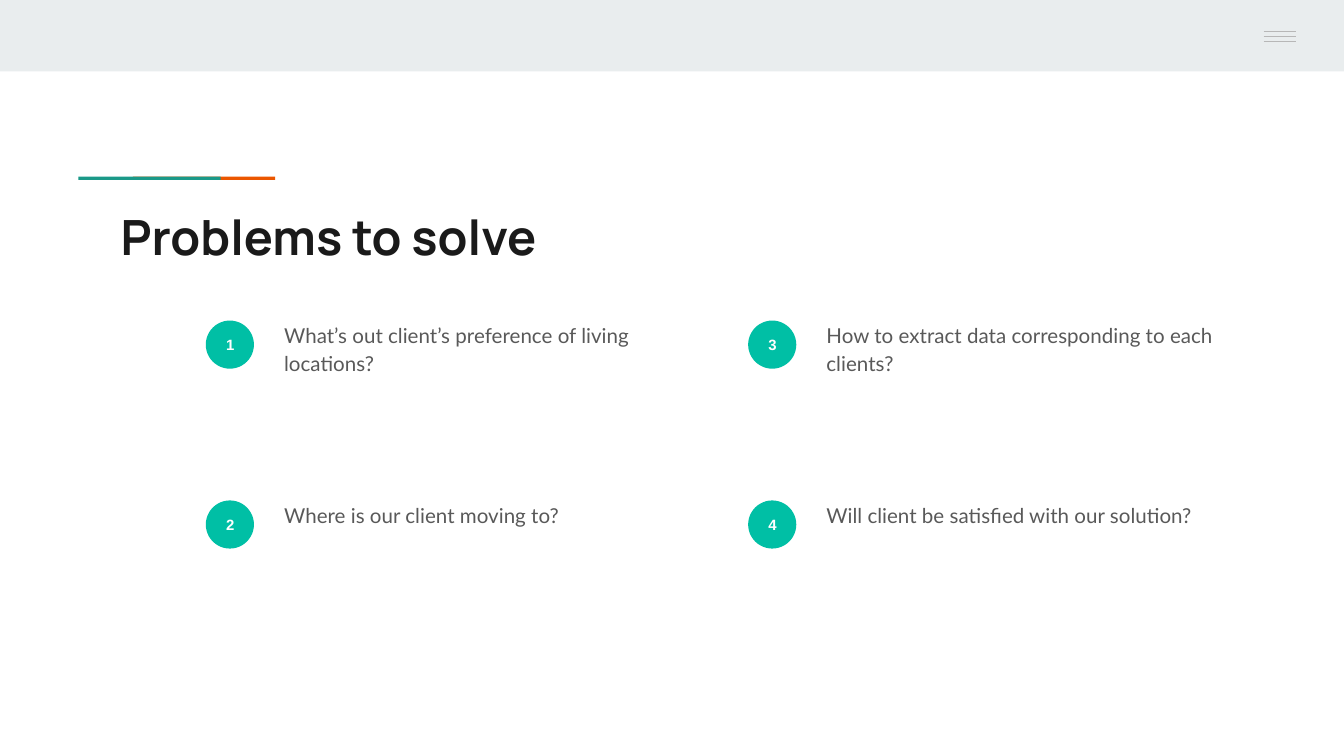
from dataclasses import dataclass
from lxml.etree import SubElement
from pptx import Presentation
from pptx.dml.color import RGBColor
from pptx.enum.shapes import MSO_CONNECTOR, MSO_SHAPE
from pptx.enum.text import MSO_ANCHOR, PP_ALIGN
from pptx.oxml.ns import qn
from pptx.util import Cm, Pt


@dataclass(frozen=True)
class Theme:
    band: str = "E9EDEE"
    rule: str = "B7B7B7"
    green: str = "1A9988"
    orange: str = "EB5600"
    badge: str = "00BFA5"
    white: str = "FFFFFF"
    dark: str = "1A1A1A"
    grey: str = "595959"
    head: int = 26
    body: int = 11
    small: int = 8
    inset: float = 0.25


THEME = Theme()


def add_run(para, text, font, size, color, bold=False):
    run = para.add_run()
    run.text = text
    run.font.name = font
    run.font.size = Pt(size)
    run.font.bold = bold
    run.font.color.rgb = RGBColor.from_string(color)


def set_frame(frame, anchor):
    frame.word_wrap = True
    frame.vertical_anchor = anchor
    pad = Cm(THEME.inset)
    frame.margin_left = frame.margin_right = pad
    frame.margin_top = frame.margin_bottom = pad
    return frame.paragraphs[0]


def add_fill(slide, kind, x, y, w, h, color):
    shape = slide.shapes.add_shape(kind, Cm(x), Cm(y), Cm(w), Cm(h))
    shape.shadow.inherit = False
    shape.fill.solid()
    shape.fill.fore_color.rgb = RGBColor.from_string(color)
    shape.line.fill.background()
    return shape


def add_line(slide, x, y, end):
    line = slide.shapes.add_connector(
        MSO_CONNECTOR.STRAIGHT, Cm(x), Cm(y), Cm(end), Cm(y))
    line.line.color.rgb = RGBColor.from_string(THEME.rule)
    line.line.width = Pt(0.75)
    SubElement(line._element.spPr, qn("a:effectLst"))


def add_text(slide, x, y, w, h):
    box = slide.shapes.add_textbox(Cm(x), Cm(y), Cm(w), Cm(h))
    return set_frame(box.text_frame, MSO_ANCHOR.TOP)


def add_item(slide, num, text, x, y):
    badge = add_fill(slide, MSO_SHAPE.OVAL, x, y, 0.91, 0.91, THEME.badge)
    para = set_frame(badge.text_frame, MSO_ANCHOR.MIDDLE)
    para.alignment = PP_ALIGN.CENTER
    add_run(para, str(num), "Arial", THEME.small, THEME.white, True)

    para = add_text(slide, x + 1.23, y - 0.28, 7.87, 2.92)
    para.line_spacing = 1.15
    para.space_after = Pt(16)
    add_run(para, text, "Lato", THEME.body, THEME.grey)


def main():
    deck = Presentation()
    deck.slide_width, deck.slide_height = Cm(25.4), Cm(14.29)
    slide = deck.slides.add_slide(deck.slide_layouts[6])

    # Top band with menu icon
    add_fill(slide, MSO_SHAPE.RECTANGLE, 0, 0, 25.4, 1.35, THEME.band)
    for i in range(3):
        add_line(slide, 23.88, 0.6 + i * 0.09, 24.49)

    # Accent bars, green over orange
    for x, color in ((2.51, THEME.orange), (1.48, THEME.green)):
        add_fill(slide, MSO_SHAPE.RECTANGLE, x, 3.34, 2.69, 0.06, color)

    # Title
    para = add_text(slide, 2.03, 3.66, 21.36, 1.5)
    add_run(para, "Problems to solve", "Manrope", THEME.head, THEME.dark, True)

    # Numbered problems, down each column in turn
    items = (
        "What’s out client’s preference of living locations?",
        "Where is our client moving to?",
        "How to extract data corresponding to each clients?",
        "Will client be satisfied with our solution?",
    )
    for i, text in enumerate(items):
        col, row = divmod(i, 2)
        add_item(slide, i + 1, text, 3.89 + col * 10.25, 6.06 + row * 3.4)

    deck.save("out.pptx")


if __name__ == "__main__":
    main()
